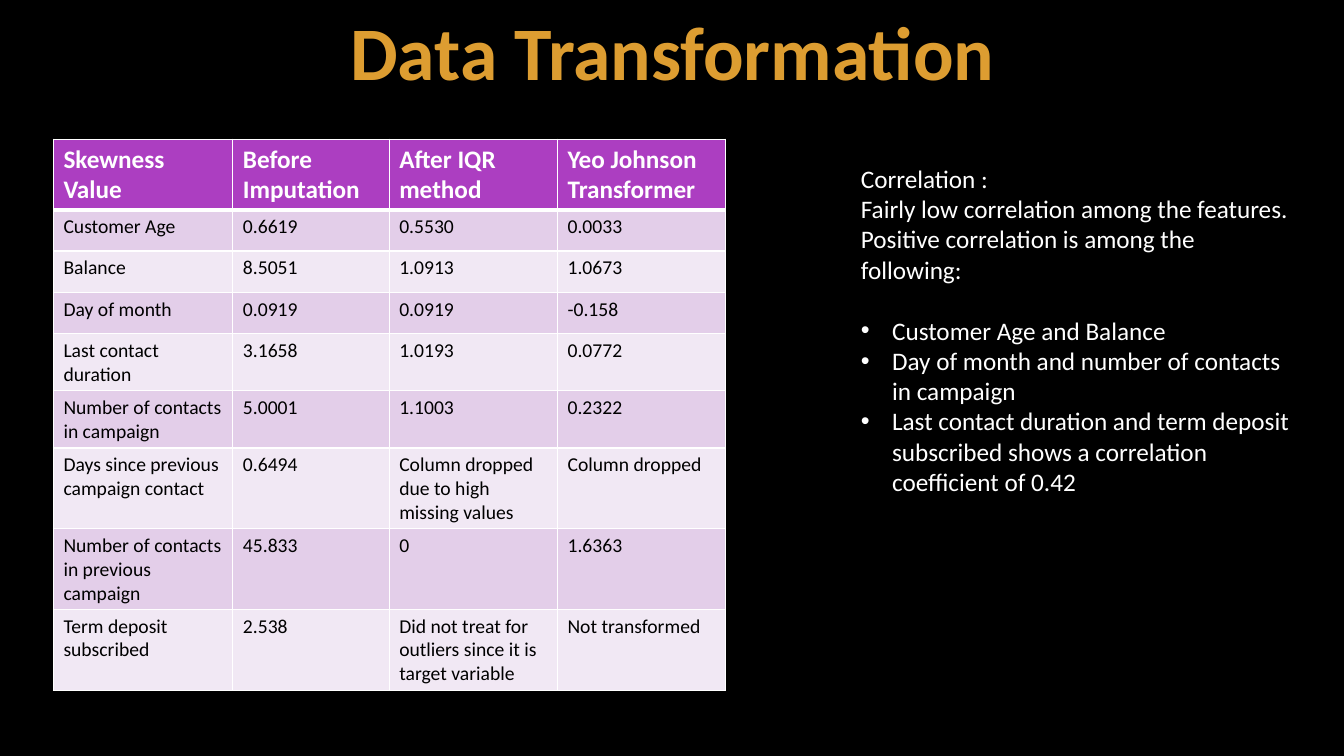
from lxml import etree
from pptx import Presentation
from pptx.dml.color import RGBColor
from pptx.enum.text import MSO_ANCHOR, MSO_AUTO_SIZE, PP_ALIGN
from pptx.oxml.ns import qn
from pptx.util import Inches, Pt

CENTER = PP_ALIGN.CENTER
TOP = MSO_ANCHOR.TOP
GROW = MSO_AUTO_SIZE.SHAPE_TO_FIT_TEXT

TITLE = "Data Transformation"
ROWS = [
    ("Skewness Value", "Before Imputation", "After IQR method", "Yeo Johnson Transformer"),
    ("Customer Age", "0.6619", "0.5530", "0.0033"),
    ("Balance", "8.5051", "1.0913", "1.0673"),
    ("Day of month", "0.0919", "0.0919", "-0.158"),
    ("Last contact duration", "3.1658", "1.0193", "0.0772"),
    ("Number of contacts in campaign", "5.0001", "1.1003", "0.2322"),
    ("Days since previous campaign contact", "0.6494",
     "Column dropped due to high missing values", "Column dropped"),
    ("Number of contacts in previous campaign", "45.833", "0", "1.6363"),
    ("Term deposit subscribed", "2.538",
     "Did not treat for outliers since it is target variable", "Not transformed"),
]
INTRO = [
    "Correlation :",
    "Fairly low correlation among the features. Positive correlation is among the following:",
]
POINTS = [
    "Customer Age and Balance",
    "Day of month and number of contacts in campaign",
    "Last contact duration and term deposit subscribed shows a correlation coefficient of 0.42",
]

THEME = {
    "font": "Calibri",
    "black": "000000", "white": "FFFFFF", "gold": "DD9D31",
    "head": "AC3EC1", "bands": ("F1E8F4", "E3CEE9"),
    "title": 54, "body": 18, "cell": 14,
}
COLS = (1.78, 1.55, 1.67, 1.67)
ROW_H = 0.41
INDENT = 0.31


def style(para, size, color, bold=False):
    font = para.font
    font.name, font.size, font.bold = THEME["font"], Pt(size), bold
    font.color.rgb = RGBColor.from_string(color)


def add_line(parent, tag, color, width):
    """Build a solid DrawingML line under parent and return it."""
    line = etree.SubElement(parent, qn(tag), w=str(Pt(width)))
    fill = etree.SubElement(line, qn("a:solidFill"))
    etree.SubElement(fill, qn("a:srgbClr"), val=color)
    return line


def add_box(slide, left, top, width, height, wrap):
    box = slide.shapes.add_textbox(*map(Inches, (left, top, width, height)))
    frame = box.text_frame
    frame.word_wrap, frame.auto_size = wrap, GROW
    return frame


def add_title(slide):
    para = add_box(slide, 3.34, 0, 6.66, 1.01, False).paragraphs[0]
    para.alignment = CENTER
    run = para.add_run()
    run.text = TITLE
    style(para, THEME["title"], THEME["gold"], True)
    add_line(run._r.get_or_add_rPr(), "a:ln", THEME["black"], 0.75)


def add_grid(slide):
    frame = slide.shapes.add_table(
        len(ROWS), len(COLS), Inches(0.53), Inches(1.38),
        Inches(sum(COLS)), Inches(ROW_H * len(ROWS)))
    table = frame.table
    for col, width in zip(table.columns, COLS):
        col.width = Inches(width)
    for r, texts in enumerate(ROWS):
        table.rows[r].height = Inches(ROW_H)
        head = r == 0
        fill = THEME["head"] if head else THEME["bands"][r % 2]
        widths = {"L": 1, "R": 1, "T": 3 if r == 1 else 1, "B": 3 if head else 1}
        for c, text in enumerate(texts):
            cell = table.cell(r, c)
            cell.text, cell.vertical_anchor = text, TOP
            for side, width in widths.items():
                add_line(cell._tc.get_or_add_tcPr(), "a:ln" + side, THEME["white"], width)
            cell.fill.solid()
            cell.fill.fore_color.rgb = RGBColor.from_string(fill)
            style(cell.text_frame.paragraphs[0],
                  THEME["body"] if head else THEME["cell"],
                  THEME["white"] if head else THEME["black"], head)


def add_bullet(para):
    props = para._p.get_or_add_pPr()
    props.set("marL", str(Inches(INDENT)))
    props.set("indent", str(-Inches(INDENT)))
    etree.SubElement(props, qn("a:buFont"), typeface="Arial")
    etree.SubElement(props, qn("a:buChar"), char="•")


def add_notes(slide):
    frame = add_box(slide, 8.44, 1.57, 4.46, 3.43, True)
    for i, text in enumerate(INTRO + POINTS):
        para = frame.add_paragraph() if i else frame.paragraphs[0]
        para.text = text
        if i >= len(INTRO):
            add_bullet(para)
        if i == len(INTRO):
            para.space_before = Pt(22)
        style(para, THEME["body"], THEME["white"])


def main():
    deck = Presentation()
    deck.slide_width, deck.slide_height = Inches(13.33), Inches(7.5)
    slide = deck.slides.add_slide(deck.slide_layouts[6])
    back = slide.background.fill
    back.solid()
    back.fore_color.rgb = RGBColor.from_string(THEME["black"])
    add_title(slide)
    add_grid(slide)
    add_notes(slide)
    deck.save("out.pptx")


if __name__ == "__main__":
    main()
